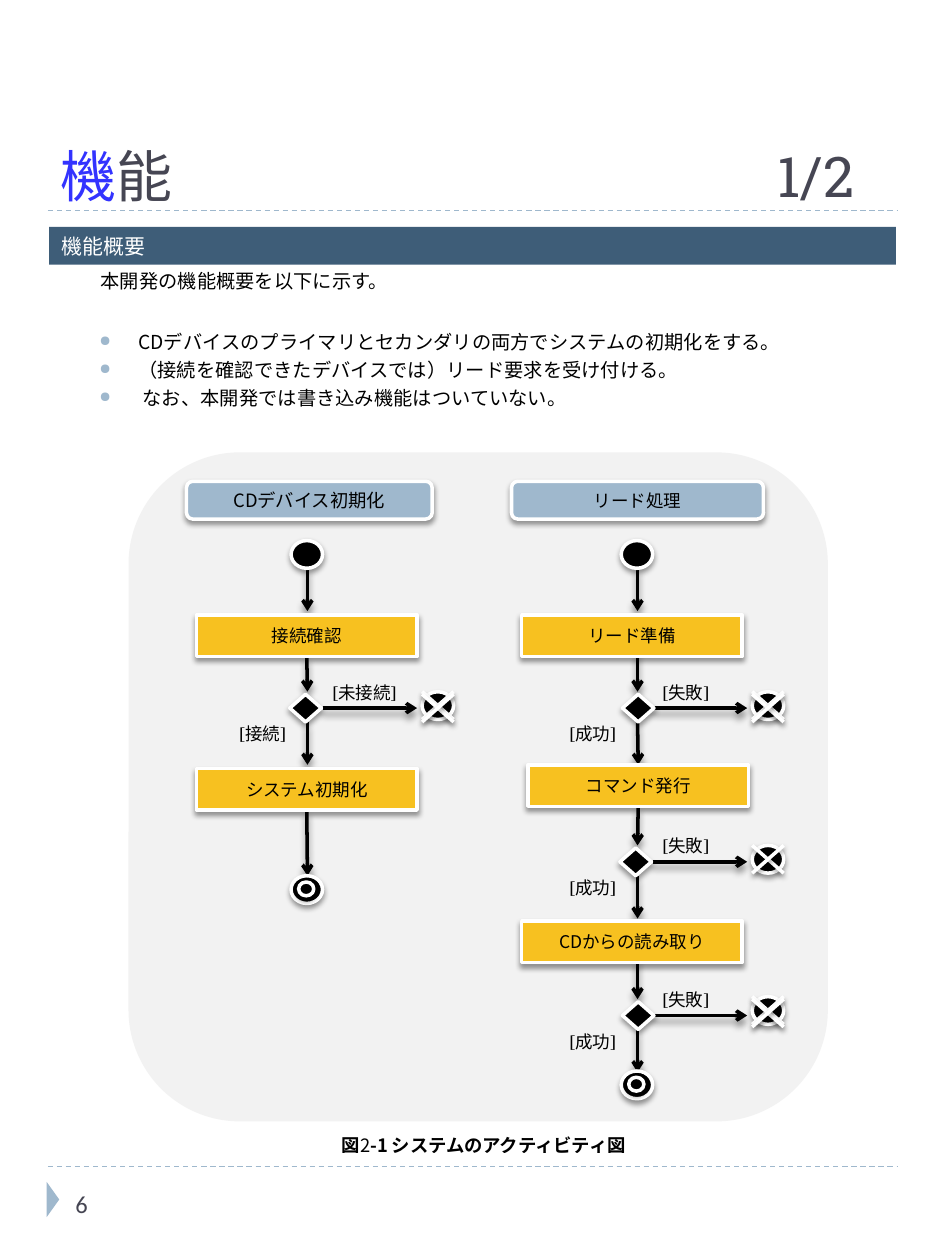
"""Build the activity diagram slide for the feature overview."""
from dataclasses import dataclass
from typing import Optional

from lxml import etree
from pptx import Presentation
from pptx import util as u
from pptx.dml.color import RGBColor
from pptx.enum import dml, shapes, text
from pptx.oxml import ns

PX = 9144
KIND = shapes.MSO_SHAPE


@dataclass(frozen=True)
class Theme:
    pale: str = "9FB8CD"
    band: str = "3E5D78"
    panel: str = "F2F2F2"
    step: str = "F7C120"
    accent: str = "3333FF"
    heading: str = "464653"
    black: str = "000000"
    white: str = "FFFFFF"
    sans: str = "Noto Sans CJK JP"
    serif: str = "TeX Gyre Schola"
    slab: str = "Roboto Slab"
    number: str = "Calibri"
    title_size: float = 32
    page_size: float = 14
    band_size: float = 12
    body_size: float = 11
    caption_size: float = 10.5
    label_size: float = 10


@dataclass(frozen=True)
class Node:
    label: str
    box: tuple[int, int, int, int]
    kind: shapes.MSO_SHAPE
    color: str
    size: float


@dataclass(frozen=True)
class Branch:
    axis: int
    y: int
    left: int
    end_top: int
    offsets: tuple[int, ...]
    yes: str
    no: str
    source: Optional[str] = None
    target: Optional[str] = None


T = Theme()
LEFT, RIGHT = 244, 506
DOT = (25, 22)
NODES = [
    Node("リード処理", (406, 382, 200, 30), KIND.ROUNDED_RECTANGLE, T.pale, T.label_size),
    Node("CDデバイス初期化", (148, 382, 195, 30), KIND.ROUNDED_RECTANGLE, T.pale, T.caption_size),
    Node("接続確認", (156, 488, 175, 33), KIND.FLOWCHART_PROCESS, T.step, T.label_size),
    Node("システム初期化", (156, 610, 175, 33), KIND.RECTANGLE, T.step, T.label_size),
    Node("リード準備", (414, 488, 175, 33), KIND.RECTANGLE, T.step, T.label_size),
    Node("コマンド発行", (419, 607, 175, 33), KIND.RECTANGLE, T.step, T.label_size),
    Node("CDからの読み取り", (414, 731, 175, 33), KIND.RECTANGLE, T.step, T.label_size),
]
BRANCHES = [
    Branch(LEFT, 562, 230, 549, (0, 2), "[接続]", "[未接続]", source="接続確認"),
    Branch(RIGHT, 562, 494, 549, (0, 2), "[成功]", "[失敗]", target="コマンド発行"),
    Branch(RIGHT, 684, 492, 671, (0,), "[成功]", "[失敗]", source="コマンド発行"),
    Branch(RIGHT, 806, 494, 791, (0, 2), "[成功]", "[失敗]"),
]
BULLETS = [
    "CDデバイスのプライマリとセカンダリの両方でシステムの初期化をする。",
    "（接続を確認できたデバイスでは）リード要求を受け付ける。",
    " なお、本開発では書き込み機能はついていない。",
]


def scaled(*values: int) -> list[u.Emu]:
    """Turn px into EMU."""
    return [u.Emu(value * PX) for value in values]


def style(span, size: float, color: str, font: str = T.sans, bold: bool = False) -> None:
    """Format a run, with the sans face for East Asian letters."""
    span.font.size, span.font.bold, span.font.name = u.Pt(size), bold, font
    span.font.color.rgb = RGBColor.from_string(color)
    etree.SubElement(span.font._element, ns.qn("a:ea"), typeface=T.sans)


def indent(para, margin: int, hanging: int = 0) -> None:
    """Set the left margin and the hanging indent of a paragraph."""
    props = para._p.get_or_add_pPr()
    props.set("marL", str(margin * PX))
    props.set("indent", str(-hanging * PX))


def cast_shadow(props, blur: float, distance: float) -> None:
    """Give shape properties a soft downward shadow."""
    effects = props.find(ns.qn("a:effectLst"))
    if effects is None:
        effects = etree.SubElement(props, ns.qn("a:effectLst"))
    shadow = etree.SubElement(effects, ns.qn("a:outerShdw"), blurRad=str(u.Pt(blur)),
                              dist=str(u.Pt(distance)), dir="5400000", rotWithShape="0")
    color = etree.SubElement(shadow, ns.qn("a:srgbClr"), val=T.black)
    etree.SubElement(color, ns.qn("a:alpha"), val="40000")


def add_box(target, kind, box: tuple[int, ...], color: str, raised: bool = False):
    """Draw a filled shape, optionally with a white edge and a shadow."""
    shape = target.add_shape(kind, *scaled(*box))
    shape.fill.solid()
    shape.fill.fore_color.rgb = RGBColor.from_string(color)
    shape.shadow.inherit = False
    if raised:
        shape.line.color.rgb = RGBColor.from_string(T.white)
        shape.line.width = u.Pt(2)
        cast_shadow(shape._element.spPr, 3, 2)
    else:
        shape.line.fill.background()
    return shape


def add_line(target, ends: tuple[int, ...], color: str, width: float):
    """Draw a plain straight connector."""
    line = target.add_connector(shapes.MSO_CONNECTOR.STRAIGHT, *scaled(*ends))
    line.line.color.rgb = RGBColor.from_string(color)
    line.line.width = u.Pt(width)
    etree.SubElement(line._element.spPr, ns.qn("a:effectLst"))
    return line


def add_arrow(target, *ends: int):
    """Draw a black flow arrow."""
    arrow = add_line(target, ends, T.black, 2)
    etree.SubElement(arrow.line._get_or_add_ln(), ns.qn("a:tailEnd"), type="arrow")
    cast_shadow(arrow._element.spPr, 4, 3.4)
    return arrow


def add_rule(target, y: int) -> None:
    """Draw a dashed rule across the page."""
    add_line(target, (38, y, 712, y), T.pale, 0.75).line.dash_style = dml.MSO_LINE.DASH


def add_label(target, label: str, left: int, top: int, width: int) -> None:
    """Write a guard beside a branch."""
    frame = target.add_textbox(*scaled(left, top, width, 33)).text_frame
    frame.word_wrap = True
    frame.margin_left, frame.margin_top, frame.margin_right = scaled(8, 1, 0)
    frame.text = label
    style(frame.paragraphs[0].runs[0], T.label_size, T.black, T.serif)


def fill_text(shape, label: str, size: float, color: str, align, font: str = T.sans) -> None:
    """Write one vertically centred line in a shape."""
    frame = shape.text_frame
    frame.vertical_anchor = text.MSO_ANCHOR.MIDDLE
    frame.margin_top = frame.margin_bottom = u.Emu(PX)
    frame.text = label
    frame.paragraphs[0].alignment = align
    style(frame.paragraphs[0].runs[0], size, color, font)


def add_finish(target, axis: int, top: int) -> None:
    """Draw the double circle that ends a flow."""
    group = target.add_group_shape().shapes
    add_box(group, KIND.OVAL, (axis - 13, top, *DOT), T.black, True)
    add_box(group, KIND.OVAL, (axis - 7, top + 5, 12, 11), T.black, True)


def add_abort(target, left: int, top: int, offsets: tuple[int, ...]) -> None:
    """Draw the crossed circle that ends a failed branch."""
    group = target.add_group_shape().shapes
    width, height = DOT
    add_box(group, KIND.OVAL, (left, top, width, height), T.black, True)
    for y in (top + offset for offset in offsets):
        for start, end in ((left, left + width), (left + width, left)):
            stroke = add_line(group, (start, y, end, y + height), T.white, 2)
            cast_shadow(stroke._element.spPr, 3, 2)


def add_title(page) -> None:
    """Place and format the title."""
    title = page.shapes.title
    title.left, title.top, title.width, title.height = scaled(38, 22, 675, 144)
    frame = title.text_frame
    frame.auto_size, frame.vertical_anchor = text.MSO_AUTO_SIZE.NONE, text.MSO_ANCHOR.BOTTOM
    frame.margin_bottom = 0
    para = frame.paragraphs[0]
    para.alignment = text.PP_ALIGN.LEFT
    indent(para, 569, 569)
    for words, color in (("機", T.accent), ("能\t1/2", T.heading)):
        span = para.add_run()
        span.text = words
        style(span, T.title_size, color, T.slab)


def add_body(target) -> None:
    """Write the introduction and its bullets."""
    frame = target.add_textbox(*scaled(39, 211, 675, 133)).text_frame
    frame.word_wrap = True
    frame.text = "\n".join(["本開発の機能概要を以下に示す。", *BULLETS])
    for index, para in enumerate(frame.paragraphs):
        para.line_spacing = 0.9
        para.space_before = u.Pt((0, 23, 4, 4)[index])
        style(para.runs[0], T.body_size, T.black)
        indent(para, 61 if index else 31, 31 if index else 0)
        if index:
            props = para._p.get_or_add_pPr()
            color = etree.SubElement(props, ns.qn("a:buClr"))
            etree.SubElement(color, ns.qn("a:srgbClr"), val=T.pale)
            etree.SubElement(props, ns.qn("a:buSzPct"), val="76000")
            etree.SubElement(props, ns.qn("a:buChar"), char="●")


def add_caption(target) -> None:
    """Write the figure caption in a one-cell table."""
    table = target.add_table(1, 1, *scaled(219, 898, 330, 17)).table
    table.first_row = table.horz_banding = False
    cell = table.cell(0, 0)
    cell.fill.background()
    cell.margin_left = cell.margin_right = cell.margin_top = cell.margin_bottom = 0
    para = cell.text_frame.paragraphs[0]
    para.alignment = text.PP_ALIGN.CENTER
    para.space_before, para.space_after = u.Pt(6), u.Pt(12)
    for words, font, bold in (("図", T.serif, True), ("2", T.sans, False), ("‑1 ", T.sans, True),
                              ("システムのアクティビティ図", T.serif, True)):
        span = para.add_run()
        span.text = words
        style(span, T.caption_size, T.black, font, bold)


def add_diagram(target) -> None:
    """Draw both flows, arrows behind nodes."""
    add_box(target, KIND.ROUNDED_RECTANGLE, (102, 359, 555, 531), T.panel)
    for axis in (LEFT, RIGHT):
        add_arrow(target, axis, 451, axis, 485)
        add_box(target, KIND.OVAL, (axis - 13, 429, *DOT), T.black, True)
    last = add_arrow(target, LEFT, 640, LEFT, 695)
    flows = []
    for b in BRANCHES:
        flows.append((add_arrow(target, b.axis, b.y - 46, b.axis, b.y - 13),
                      add_arrow(target, b.axis, b.y + 11, b.axis, b.y + 45)))
        add_arrow(target, b.axis + 12, b.y, b.axis + 87, b.y)
        add_label(target, b.no, b.axis + 12, b.y - 22, 75)
        add_label(target, b.yes, b.axis - 62, b.y + 11, 62)
    boxes = {}
    for node in NODES:
        boxes[node.label] = add_box(target, node.kind, node.box, node.color, True)
        fill_text(boxes[node.label], node.label, node.size, T.black, text.PP_ALIGN.CENTER)
    last.begin_connect(boxes["システム初期化"], 2)
    for b, (inward, outward) in zip(BRANCHES, flows):
        if b.source:
            inward.begin_connect(boxes[b.source], 2)
        if b.target:
            outward.end_connect(boxes[b.target], 0)
        add_box(target, KIND.DIAMOND, (b.left, b.y - 11, *DOT), T.black, True)
        add_abort(target, b.axis + 91, b.end_top, b.offsets)
    add_finish(target, LEFT, 695)
    add_finish(target, RIGHT, 850)


def main() -> None:
    """Build and save the deck."""
    deck = Presentation()
    deck.slide_width, deck.slide_height = scaled(750, 1000)
    page = deck.slides.add_slide(deck.slide_layouts[5])
    target = page.shapes
    add_title(page)
    for y in (167, 926):
        add_rule(target, y)
    add_box(target, KIND.ISOSCELES_TRIANGLE, (28, 947, 28, 10), T.pale).rotation = 90
    number = add_box(target, KIND.RECTANGLE, (50, 930, 162, 50), T.white)
    fill_text(number, "6", T.page_size, T.heading, text.PP_ALIGN.LEFT, T.number)
    band = add_box(target, KIND.RECTANGLE, (39, 180, 672, 30), T.band)
    fill_text(band, "機能概要", T.band_size, T.white, text.PP_ALIGN.LEFT)
    add_body(target)
    add_diagram(target)
    add_caption(target)
    deck.save("out.pptx")


if __name__ == "__main__":
    main()
